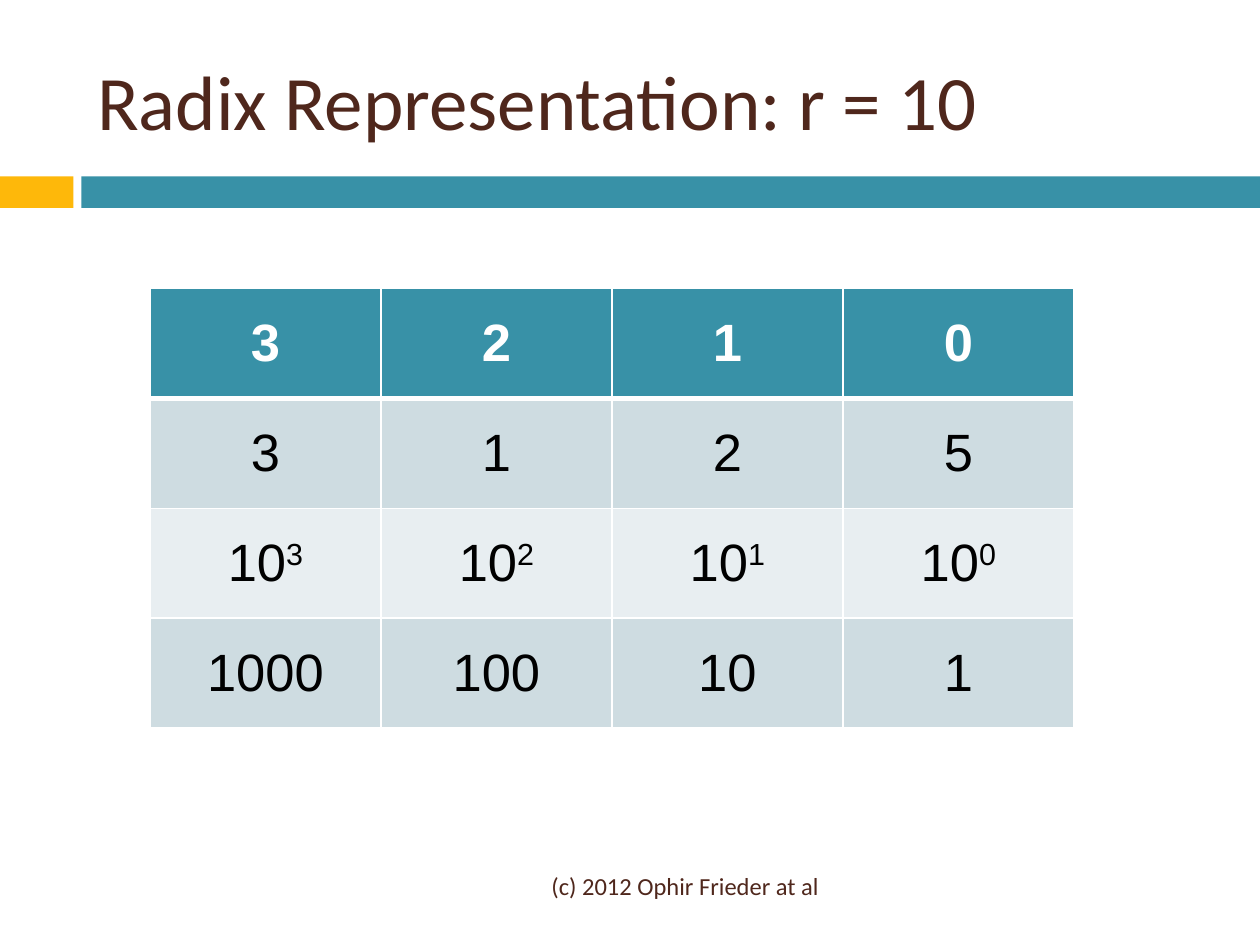
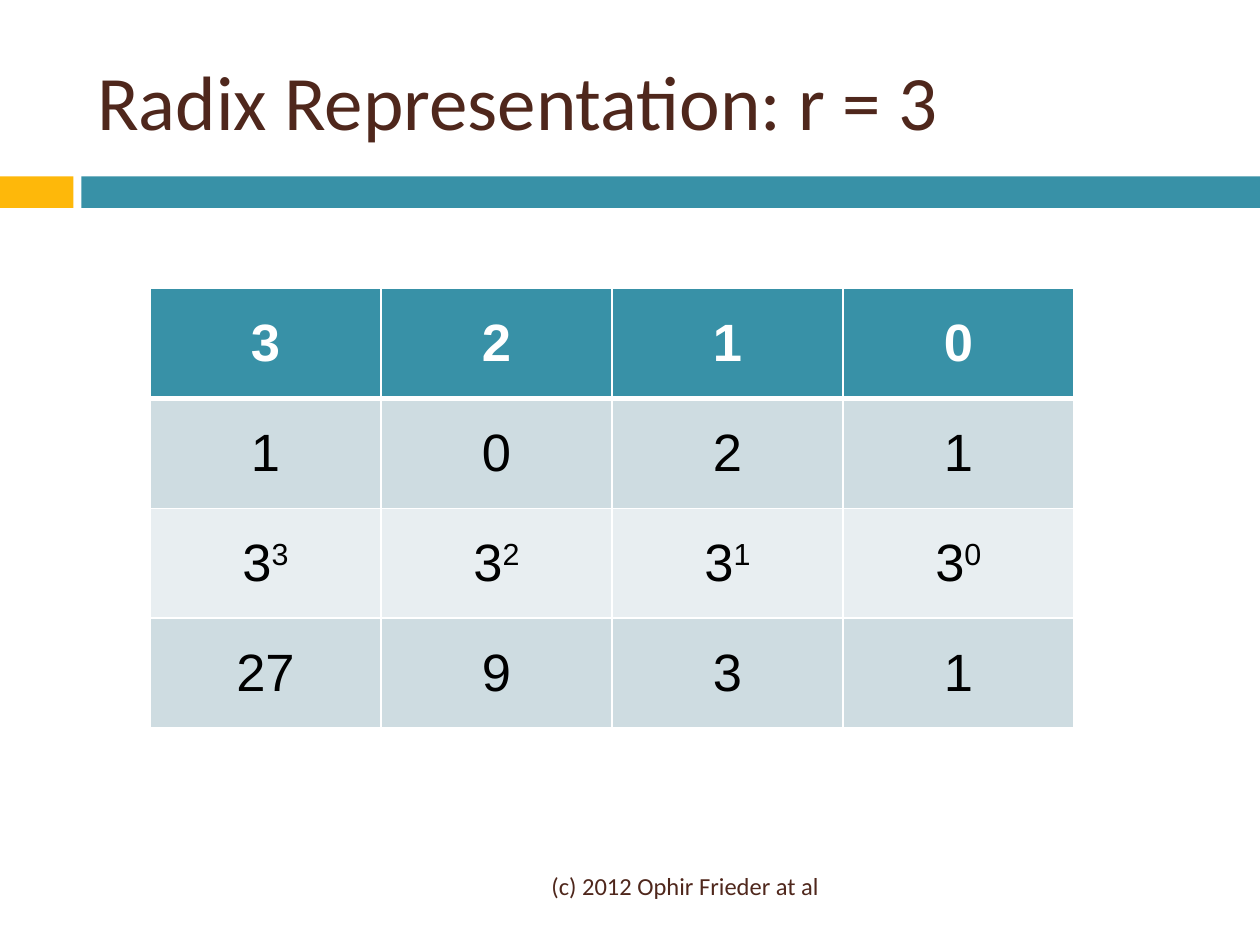
from lxml import etree
from pptx import Presentation
from pptx.dml.color import RGBColor
from pptx.enum.shapes import MSO_SHAPE
from pptx.enum.text import MSO_ANCHOR, MSO_AUTO_SIZE, PP_ALIGN
from pptx.oxml.ns import qn
from pptx.util import Pt

RECTANGLE = MSO_SHAPE.RECTANGLE
MIDDLE = MSO_ANCHOR.MIDDLE
NO_AUTOFIT = MSO_AUTO_SIZE.NONE
LEFT, CENTER, RIGHT = PP_ALIGN.LEFT, PP_ALIGN.CENTER, PP_ALIGN.RIGHT

WHITE = RGBColor(0xFF, 0xFF, 0xFF)
BLACK = RGBColor(0x00, 0x00, 0x00)
BROWN = RGBColor(0x4F, 0x27, 0x1C)
GOLD = RGBColor(0xFE, 0xB8, 0x0A)
TEAL = RGBColor(0x38, 0x91, 0xA7)
ROW_DARK = RGBColor(0xCE, 0xDC, 0xE1)
ROW_LIGHT = RGBColor(0xE8, 0xEE, 0xF1)

HEADING_FONT = "Calibri"
TABLE_FONT = "Arial"
SLIDE_WIDTH, SLIDE_HEIGHT = 720, 540
BAND_TOP, BAND_HEIGHT = 100.8, 18
TEXT_LEFT = 48.24
COLUMN_WIDTH, ROW_HEIGHT = 132, 62.8
FOOTER = "(c) 2012 Ophir Frieder at al"

# Radix and the digits of the number, highest position first
EXAMPLES = [(10, [3, 1, 2, 5]), (3, [1, 0, 2, 1])]


def style_paragraph(para, font, size, color, align, bold=False):
    para.alignment = align
    for span in para.runs:
        span.font.name = font
        span.font.size = Pt(size)
        span.font.bold = bold
        span.font.color.rgb = color


def fill_text_box(box, text, size, align):
    frame = box.text_frame
    frame.text = text
    frame.word_wrap = True
    frame.auto_size = NO_AUTOFIT
    frame.vertical_anchor = MIDDLE
    style_paragraph(frame.paragraphs[0], HEADING_FONT, size, BROWN, align)


def add_title(page, text):
    title = page.shapes.title
    title.left, title.top = Pt(TEXT_LEFT), Pt(18)
    title.width, title.height = Pt(642.24), Pt(77.76)
    fill_text_box(title, text, 44, LEFT)


def add_band(page, left, right, color):
    band = page.shapes.add_shape(RECTANGLE, Pt(left), Pt(BAND_TOP),
                                 Pt(right - left), Pt(BAND_HEIGHT))
    band.fill.solid()
    band.fill.fore_color.rgb = color
    band.line.fill.background()
    band.shadow.inherit = False


def add_footer(page):
    box = page.shapes.add_textbox(Pt(TEXT_LEFT), Pt(491.76), Pt(426.96), Pt(28.8))
    fill_text_box(box, FOOTER, 14, RIGHT)


def set_borders(cell, top, bottom):
    """Draw white cell borders; the side borders are one point wide."""
    properties = cell._tc.get_or_add_tcPr()
    widths = {"a:lnL": 1, "a:lnR": 1, "a:lnT": top, "a:lnB": bottom}
    for index, (tag, width) in enumerate(widths.items()):
        line = etree.Element(qn(tag), w=str(Pt(width)))
        fill = etree.SubElement(line, qn("a:solidFill"))
        etree.SubElement(fill, qn("a:srgbClr"), val=str(WHITE))
        properties.insert(index, line)


def fill_cell(cell, text, row, power=None):
    header = row == 0
    para = cell.text_frame.paragraphs[0]
    para.text = text
    if power is not None:
        exponent = para.add_run()
        exponent.text = power
        exponent._r.get_or_add_rPr().set("baseline", "30000")
    style_paragraph(para, TABLE_FONT, 30, WHITE if header else BLACK, CENTER, header)
    cell.vertical_anchor = MIDDLE
    cell.fill.solid()
    cell.fill.fore_color.rgb = TEAL if header else ROW_DARK if row % 2 else ROW_LIGHT
    set_borders(cell, top=3 if row == 1 else 1, bottom=3 if header else 1)


def add_radix_table(page, radix, digits):
    """Rows: position, digit, power of the radix, value of that power."""
    count = len(digits)
    table = page.shapes.add_table(4, count, Pt(85.68), Pt(164.88),
                                  Pt(COLUMN_WIDTH * count), Pt(ROW_HEIGHT * 4)).table
    for row in table.rows:
        row.height = Pt(ROW_HEIGHT)
    for column, digit in enumerate(digits):
        table.columns[column].width = Pt(COLUMN_WIDTH)
        position = count - 1 - column
        for row, value in enumerate([position, digit, radix, radix ** position]):
            power = str(position) if row == 2 else None
            fill_cell(table.cell(row, column), str(value), row, power)


def main():
    deck = Presentation()
    deck.slide_width, deck.slide_height = Pt(SLIDE_WIDTH), Pt(SLIDE_HEIGHT)
    for radix, digits in EXAMPLES:
        page = deck.slides.add_slide(deck.slide_layouts.get_by_name("Title Only"))
        add_band(page, 0, 42, GOLD)
        add_band(page, 46.5, SLIDE_WIDTH, TEAL)
        add_title(page, f"Radix Representation: r = {radix}")
        add_radix_table(page, radix, digits)
        add_footer(page)
    deck.save("out.pptx")


if __name__ == "__main__":
    main()
